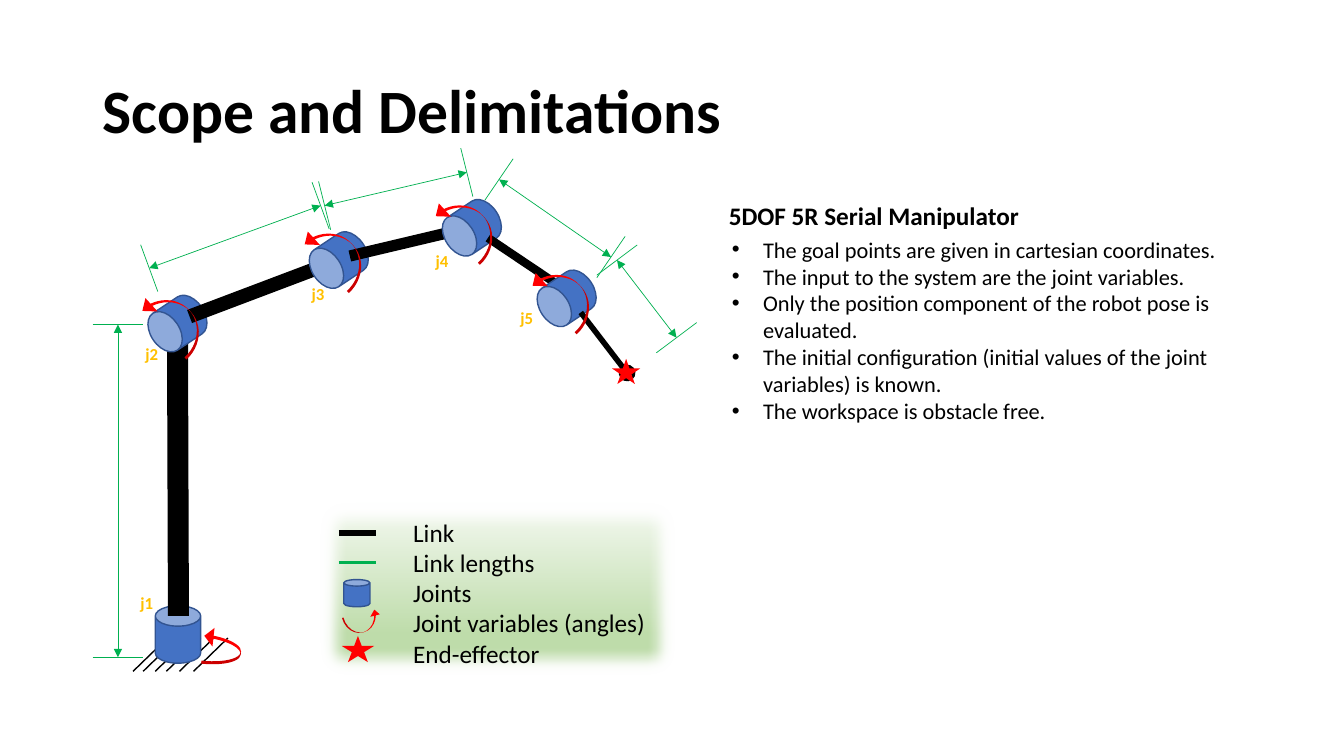
from dataclasses import dataclass

from lxml.etree import SubElement
from pptx import Presentation
from pptx.dml.color import RGBColor
from pptx.enum.shapes import MSO_CONNECTOR, MSO_SHAPE
from pptx.enum.text import MSO_ANCHOR, PP_ALIGN
from pptx.oxml.ns import qn
from pptx.util import Emu, Inches, Pt


@dataclass(frozen=True)
class Theme:
    font: str = "Calibri"
    ink: str = "000000"
    blue: str = "4472C4"
    edge: str = "325491"
    green: str = "00B050"
    red: str = "FF0000"
    gold: str = "FFC000"
    fade: tuple = ((0, "F8FBF6"), (74, "BEDCAA"), (83, "BEDCAA"), (100, "D4E8C6"))
    title: int = 44
    head: int = 18
    body: int = 16
    tag: int = 12


class Canvas:
    """Draws styled parts on one slide, in grid cells a tenth of an inch wide and high."""

    cell = Inches(0.1)

    def __init__(self, deck, theme):
        self.theme = theme
        self.slide = deck.slides.add_slide(deck.slide_layouts[6])

    def span(self, *cells):
        return [Emu(round(n * self.cell)) for n in cells]

    def text(self, area, words, size, color=None, bold=False, align=PP_ALIGN.LEFT,
             anchor=MSO_ANCHOR.TOP, space=1.0, wrap=True, dent=0):
        frame = self.slide.shapes.add_textbox(*self.span(*area)).text_frame
        frame.word_wrap = wrap
        frame.vertical_anchor = anchor
        frame.text = words
        for para in frame.paragraphs:
            para.alignment = align
            para.line_spacing = space
            if dent:
                self.bullet(para, dent)
            for run in para.runs:
                run.font.name = self.theme.font
                run.font.size = Pt(size)
                run.font.bold = bold
                run.font.color.rgb = RGBColor.from_string(color or self.theme.ink)

    def bullet(self, para, dent):
        props = para._p.get_or_add_pPr()
        depth = self.span(dent)[0]
        props.set("marL", str(depth))
        props.set("indent", str(-depth))
        SubElement(props, qn("a:buFont"), typeface="Arial")
        SubElement(props, qn("a:buChar"), char="•")

    def line(self, start, end, color, width, head=None, tail=None):
        link = self.slide.shapes.add_connector(
            MSO_CONNECTOR.STRAIGHT, *self.span(*start, *end))
        link.line.color.rgb = RGBColor.from_string(color)
        link.line.width = Pt(width)
        for name, kind in (("a:headEnd", head), ("a:tailEnd", tail)):
            if kind:
                SubElement(link.line._ln, qn(name), type=kind)
        SubElement(link._element.spPr, qn("a:effectLst"))

    def shape(self, kind, area, fill=None, edge=None, turn=0, bends=()):
        part = self.slide.shapes.add_shape(kind, *self.span(*area))
        part.shadow.inherit = False
        part.rotation = turn
        for spot, bend in enumerate(bends):
            part.adjustments[spot] = bend
        if fill:
            part.fill.solid()
            part.fill.fore_color.rgb = RGBColor.from_string(fill)
        if edge:
            part.line.color.rgb = RGBColor.from_string(edge)
            part.line.width = Pt(1)
        else:
            part.line.fill.background()
        return part

    def can(self, area, turn=0, bends=()):
        self.shape(MSO_SHAPE.CAN, area, self.theme.blue, self.theme.edge, turn, bends)

    def swirl(self, area, turn, bends=(0.08, 0.51, 0.31)):
        self.shape(MSO_SHAPE.CURVED_UP_ARROW, area, self.theme.red, None, turn, bends)

    def star(self, area):
        self.shape(MSO_SHAPE.STAR_5_POINT, area, self.theme.red)

    def panel(self, area, soft):
        part = self.shape(MSO_SHAPE.RECTANGLE, area)
        part.fill.gradient()
        part.fill.gradient_angle = 270
        props = part._element.spPr
        stops = props.find(qn("a:gradFill")).find(qn("a:gsLst"))
        for stop in list(stops):
            stops.remove(stop)
        for place, color in self.theme.fade:
            stop = SubElement(stops, qn("a:gs"), pos=str(place * 1000))
            SubElement(stop, qn("a:srgbClr"), val=color)
        SubElement(props.find(qn("a:effectLst")), qn("a:softEdge"),
                   rad=str(self.span(soft)[0]))

    def gauge(self, start, end, reach):
        dx, dy = reach
        for x, y in (start, end):
            self.line((x - dx, y - dy), (x + dx, y + dy), self.theme.green, 0.5)
        self.line(start, end, self.theme.green, 0.5, "triangle", "triangle")


HATCH = (13.2, 14.2, 15.4, 16.5, 17.8, 19.2)

JOINTS = (
    ("j1", (15.4, 60.1), (20.2, 62.3), (12.4, 58.3), (17.7, 61.1), (17.6, 32.1), 15),
    ("j2", (15.4, 29.2), (13.6, 30), (12.9, 33.6), (18.8, 31.4), (33.6, 25.8), 10),
    ("j3", (31.4, 22.9), (29.7, 23.4), (29.4, 27.7), (34.7, 25.4), (46.1, 22.7), 8),
    ("j4", (44.6, 19.7), (42.7, 20.6), (41.7, 24.4), (48.4, 23.6), (55.1, 28.1), 6),
    ("j5", (54, 26.7), (52.3, 27.5), (50.1, 30), (57.6, 31), (62.2, 37), 4),
)

GAUGES = (
    ((11.7, 32.2), (11.7, 65.2), (2.5, 0)),
    ((31.8, 20.4), (14.8, 26.6), (0.85, 2.32)),
    ((46.3, 17.1), (32.2, 20.4), (0.6, 2.4)),
    ((60.6, 25.5), (49.5, 17.8), (-1.4, 2.05)),
    ((67.1, 33.5), (61.2, 25.8), (-2, 1.5)),
)

POINTS = (
    "The goal points are given in cartesian coordinates.",
    "The input to the system are the joint variables.",
    "Only the position component of the robot pose is evaluated.",
    "The initial configuration (initial values of the joint variables) is known.",
    "The workspace is obstacle free.",
)

TERMS = ("Link", "Link lengths", "Joints", "Joint variables (angles)", "End-effector")


def draw_arm(page):
    theme = page.theme
    for x in HATCH:
        page.line((x, 66.6), (x + 3.4, 63.3), theme.ink, 1)
    for name, spot, _, _, start, end, width in JOINTS:
        if name == "j1":
            page.can((*spot, 4.5, 5.7), bends=(0.45,))
        else:
            page.can((*spot, 4.4, 5.8), 236.4, (0.65,))
        page.line(start, end, theme.ink, width, tail="oval" if name == "j5" else None)
    for gauge in GAUGES:
        page.gauge(*gauge)
    for name, _, spin, tag, *_ in JOINTS:
        if name == "j1":
            page.swirl((*spin, 3.7, 3.8), 276.3, (0.08, 0.52, 0.25))
        else:
            page.swirl((*spin, 7.4, 3.5), 227.8)
        page.text((*tag, 4.3, 2.7), name, theme.tag, theme.gold, True, PP_ALIGN.CENTER)
    page.star((60.7, 35.6, 2.8, 2.5))


def draw_key(page):
    theme = page.theme
    page.panel((31.2, 49.3, 36.3, 18.2), 1.7)
    page.text((40, 50.8, 25.3, 16.2), "\n".join(TERMS), theme.head, wrap=False)
    for y, color, width in ((52.9, theme.ink, 4), (55.8, theme.green, 1.75)):
        page.line((33.6, y), (37.3, y), color, width)
    page.can((34.1, 57.5, 2.6, 2.7))
    page.swirl((34.1, 60.8, 3.8, 1.9), 345.5)
    page.star((33.9, 63.1, 3.2, 2.6))


def main():
    deck = Presentation()
    deck.slide_width, deck.slide_height = Inches(13.33), Inches(7.5)
    theme = Theme()
    page = Canvas(deck, theme)
    page.text((9.2, 4, 115, 14.5), "Scope and Delimitations", theme.title, bold=True,
              anchor=MSO_ANCHOR.MIDDLE, space=0.9)
    page.text((71.3, 19.4, 38.8, 4), "5DOF 5R Serial Manipulator", theme.head, bold=True)
    draw_arm(page)
    page.text((71.6, 22.9, 56.8, 19.9), "\n".join(POINTS), theme.body, dent=3.1)
    draw_key(page)
    deck.save("out.pptx")


if __name__ == "__main__":
    main()
